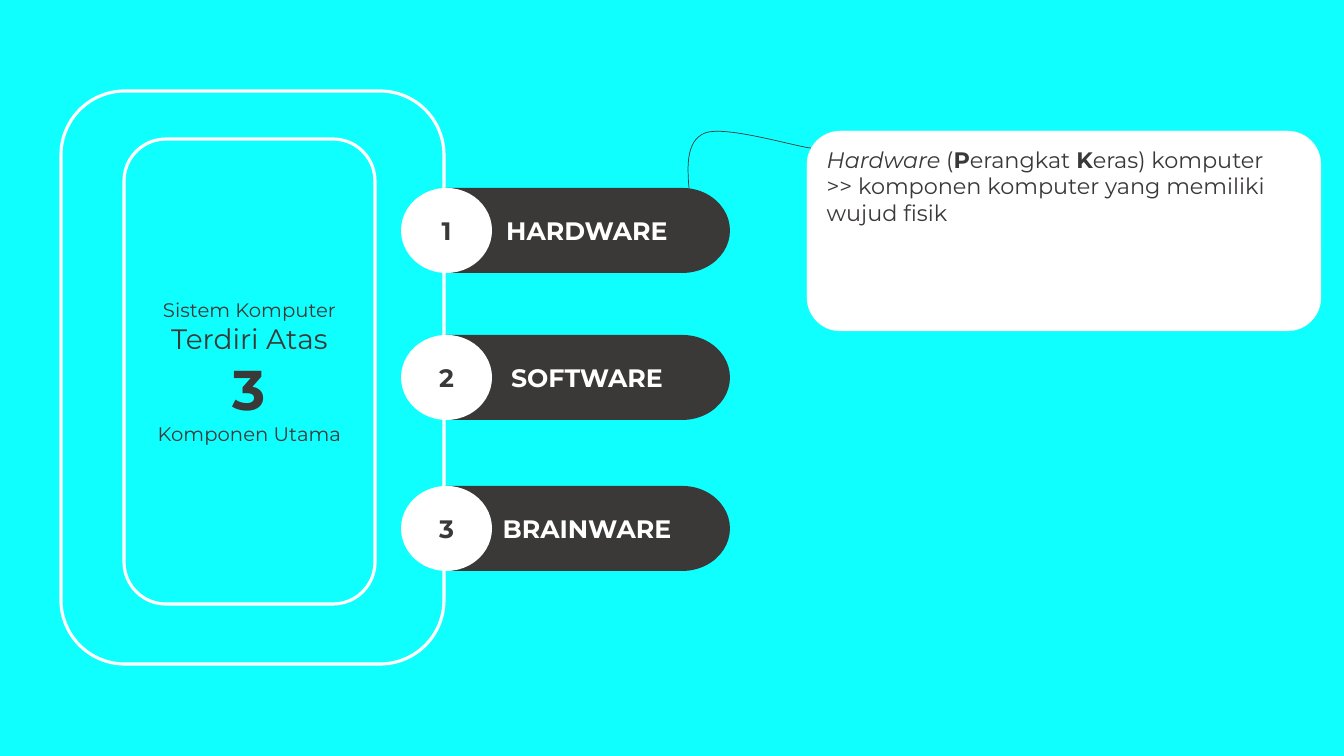
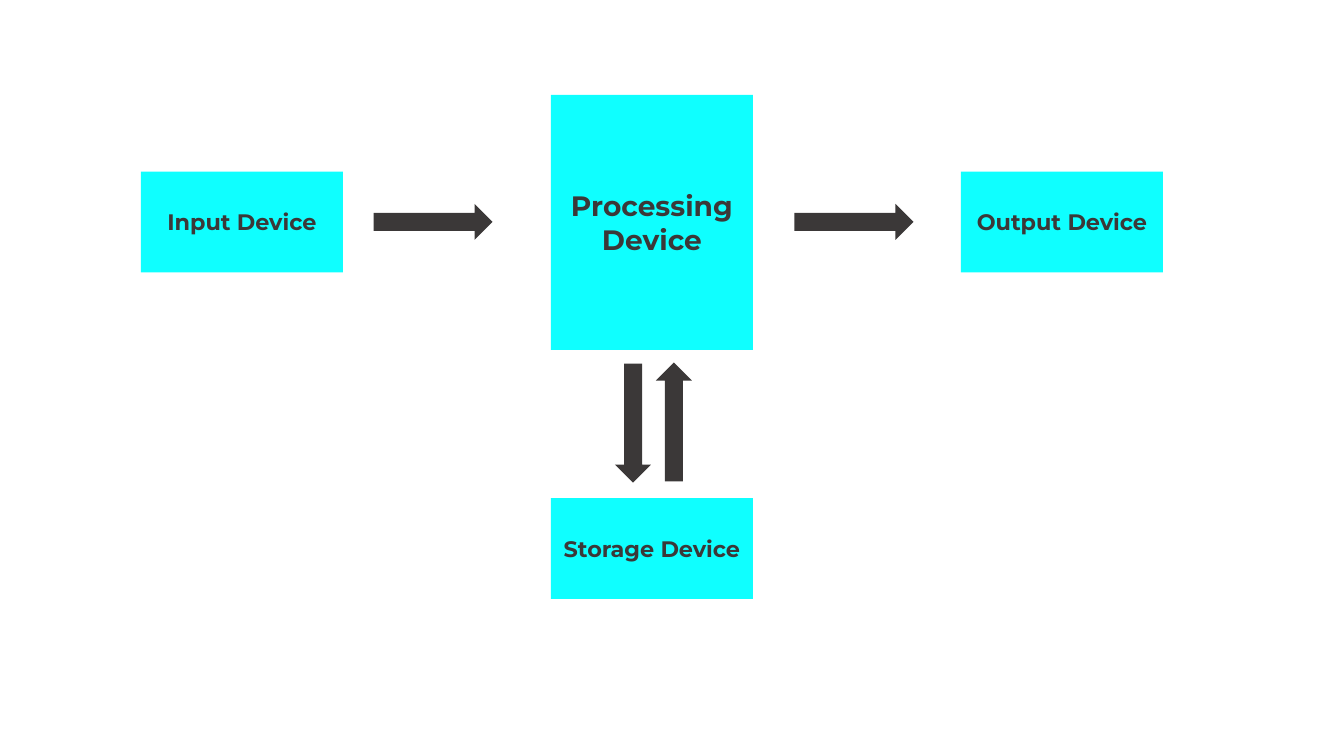
from pptx import Presentation
from pptx.dml.color import RGBColor
from pptx.enum.shapes import MSO_SHAPE
from pptx.enum.text import MSO_ANCHOR, PP_ALIGN
from pptx.util import Emu, Pt

# Shared look
CYAN = RGBColor(0x0F, 0xFF, 0xFF)
DARK = RGBColor(0x3B, 0x38, 0x38)
WHITE = RGBColor(0xFF, 0xFF, 0xFF)
PALE = RGBColor(0xF2, 0xF2, 0xF2)
FONT = "Montserrat"
SCALE = 914400 / 100.8


def px(num):
    return Emu(round(num * SCALE))


def add_page(deck, color):
    slide = deck.slides.add_slide(deck.slide_layouts[6])
    slide.background.fill.solid()
    slide.background.fill.fore_color.rgb = color
    return slide


def add_form(slide, kind, box, fill, line=None, width=0):
    form = slide.shapes.add_shape(kind, *map(px, box))
    form.shadow.inherit = False
    form.fill.solid()
    form.fill.fore_color.rgb = fill
    if line is None:
        form.line.fill.background()
    else:
        form.line.color.rgb = line
        form.line.width = Pt(width)
    return form


def style(run, size, color=DARK, bold=False, italic=False):
    font = run.font
    font.name, font.size = FONT, Pt(size)
    font.bold, font.italic = bold, italic
    font.color.rgb = color


def write(form, rows, color=DARK):
    """Centre one paragraph for each (text, size, bold) row."""
    frame = form.text_frame
    frame.word_wrap = True
    frame.vertical_anchor = MSO_ANCHOR.MIDDLE
    frame.text = "\n".join(text for text, _, _ in rows)
    for para, (_, size, bold) in zip(frame.paragraphs, rows):
        para.alignment = PP_ALIGN.CENTER
        style(para.runs[0], size, color, bold)


# Slide 1: the parts of a computer system
def add_panel(slide, box):
    left, top, wide, high = box
    inner = (left + 63, top + 48, wide - 132, high - 108)
    for area in (box, inner):
        form = add_form(slide, MSO_SHAPE.ROUNDED_RECTANGLE, area, CYAN, WHITE, 2.25)
    write(form, [("Sistem Komputer", 14, False), ("Terdiri Atas", 20, False),
                 ("3", 40, True), ("Komponen Utama", 14, False)])


def add_pill(slide, box, digit, label):
    left, top, wide, high = box
    disc = 91
    bar = add_form(slide, MSO_SHAPE.FLOWCHART_STORED_DATA,
                   (left + 43, top, wide - 43, high), DARK)
    bar._element.spPr.xfrm.set("flipH", "1")  # round end to the right
    write(bar, [(label, 18, True)], WHITE)
    bar.text_frame.margin_left = bar.text_frame.margin_right = 0
    knob = add_form(slide, MSO_SHAPE.OVAL, (left, top, disc, high), WHITE)
    write(knob, [(digit, 18, True)])


def add_note(slide, box):
    note = add_form(slide, MSO_SHAPE.ROUNDED_RECTANGLE, box, WHITE, PALE, 0.25)
    frame = note.text_frame
    frame.word_wrap = True
    frame.vertical_anchor = MSO_ANCHOR.TOP
    first, last = frame.paragraphs[0], frame.add_paragraph()
    for text, bold, italic in [("Hardware", False, True), (" (", False, False),
                               ("P", True, False), ("erangkat ", False, False),
                               ("K", True, False), ("eras) komputer ", False, False)]:
        run = first.add_run()
        run.text = text
        style(run, 16, bold=bold, italic=italic)
    last.text = ">> komponen komputer yang memiliki wujud fisik"
    style(last.runs[0], 16)
    for para in (first, last):
        para.alignment = PP_ALIGN.LEFT


def bend(ends, steps=16):
    """Points along a cubic curve, without its start."""
    for step in range(1, steps + 1):
        t = step / steps
        parts = ((1 - t) ** 3, 3 * t * (1 - t) ** 2, 3 * t * t * (1 - t), t ** 3)
        yield tuple(px(sum(p * v for p, v in zip(parts, axis)))
                    for axis in zip(*ends))


def add_lead(slide, left, top):
    """Thin curve from the first pill to the note."""
    knots = [(left + x, top + y) for x, y in
             [(5, 67), (2, 38), (0, 10), (20, 2), (40, -6), (112, 16), (126, 17)]]
    path = slide.shapes.build_freeform(*map(px, knots[0]))
    for start in (0, 3):
        path.add_line_segments(list(bend(knots[start:start + 4])), close=False)
    lead = path.convert_to_shape()
    lead.shadow.inherit = False
    lead.fill.background()
    lead.line.color.rgb = DARK
    lead.line.width = Pt(0.5)


def build_parts(deck):
    slide = add_page(deck, CYAN)
    add_panel(slide, (61, 91, 383, 573))
    pills = [(188, "HARDWARE"), (335, "SOFTWARE"), (486, "BRAINWARE")]
    for digit, (top, label) in enumerate(pills, 1):
        add_pill(slide, (401, top, 329, 85), str(digit), label)
    add_note(slide, (807, 131, 514, 200))
    add_lead(slide, 685, 131)


# Slide 2: the flow between devices
def add_tile(slide, box, text, size=16):
    tile = add_form(slide, MSO_SHAPE.RECTANGLE, box, CYAN)
    write(tile, [(row, size, True) for row in text.split("\n")])


def add_arrow(slide, mid, row, turn=0):
    wide, high = 119, 36
    arrow = add_form(slide, MSO_SHAPE.RIGHT_ARROW,
                     (mid - wide / 2, row - high / 2, wide, high), DARK)
    arrow.rotation = turn


def build_flow(deck):
    slide = add_page(deck, WHITE)
    wide, high, row, mid = 202, 101, 222, 652
    for shift, text in [(-410, "Input Device"), (410, "Output Device")]:
        add_tile(slide, (mid + shift - wide / 2, row - high / 2, wide, high), text)
    add_tile(slide, (mid - wide / 2, 498, wide, high), "Storage Device")
    add_tile(slide, (mid - wide / 2, row - 127, wide, 255), "Processing\nDevice", 20)
    for spot in [(433, row), (854, row), (674, 422, 270), (633, 423, 90)]:
        add_arrow(slide, *spot)


deck = Presentation()
deck.slide_width, deck.slide_height = px(1344), px(756)
build_parts(deck)
build_flow(deck)
deck.save("out.pptx")
